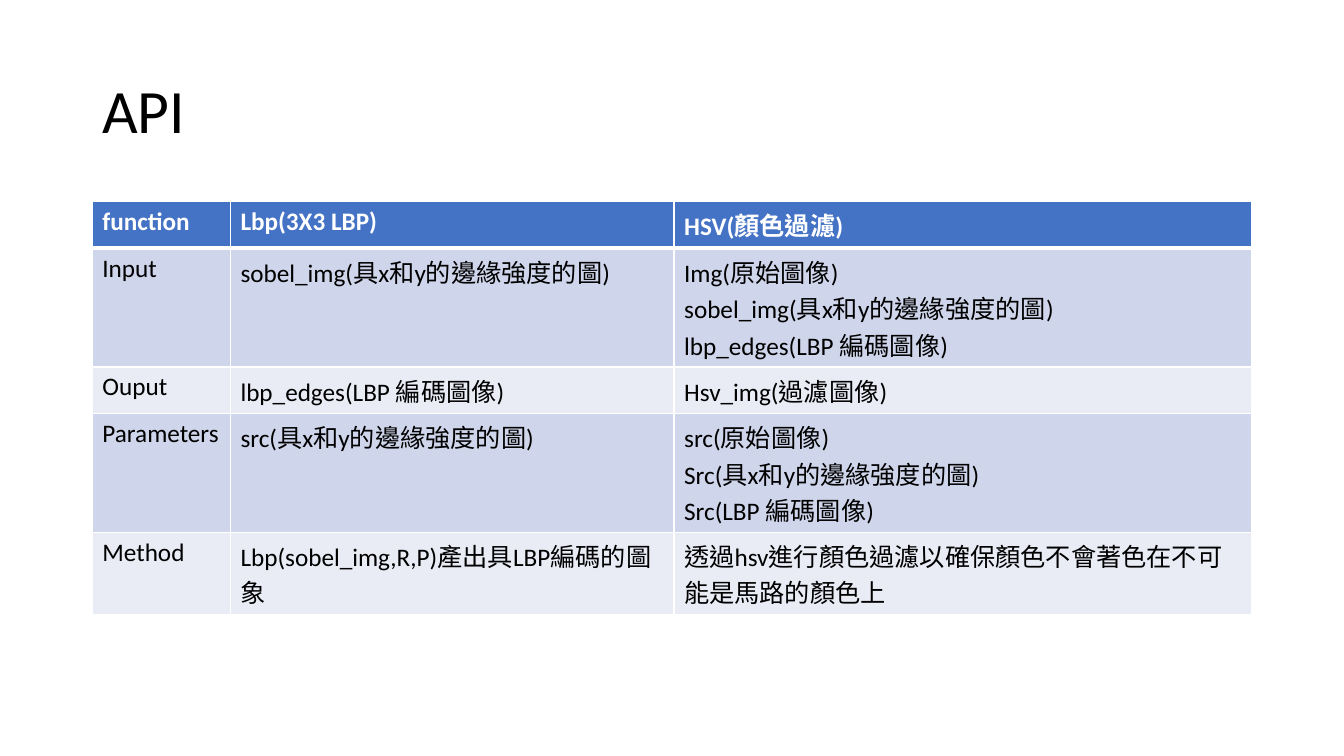
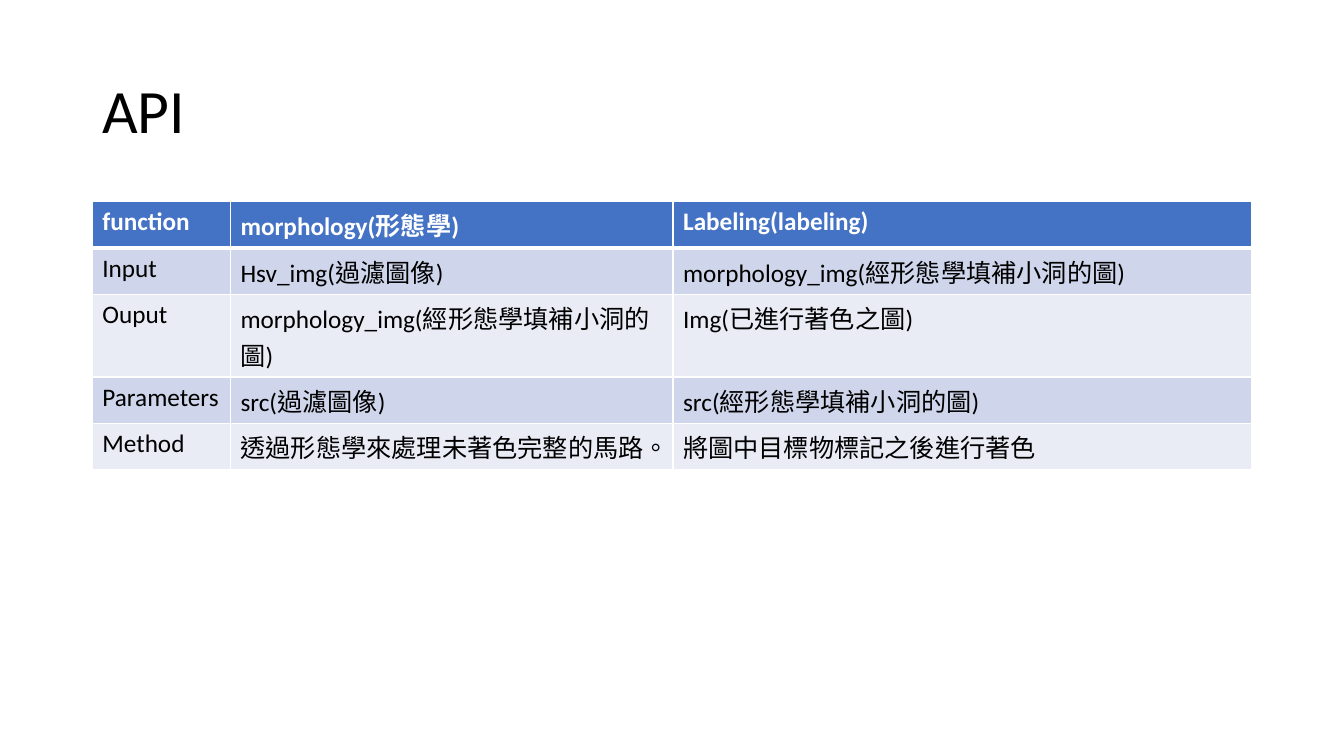
import pptx
import pptx.dml.color
import pptx.enum.lang
import pptx.enum.text
import pptx.oxml.ns
import pptx.util
import lxml.etree

COLORS = {
    "text": "000000",
    "white": "FFFFFF",
    "header": "4472C4",
    "band_dark": "CFD5EA",
    "band_light": "E9EBF5",
}
FONT = "Calibri"
TITLE_SIZE, CELL_SIZE = 44, 18
THIN, THICK = 1, 3

prs = pptx.Presentation()
prs.slide_width = pptx.util.Inches(13.33)
prs.slide_height = pptx.util.Inches(7.5)
W, H = prs.slide_width, prs.slide_height

LEFT, WIDTH = int(W * 0.0687), int(W * 0.8627)
TITLE_TOP, TITLE_HEIGHT = int(H * 0.0533), int(H * 0.1933)
TABLE_TOP = int(H * 0.2667)
CELL_PADDING, LINE_HEIGHT = pptx.util.Inches(0.1), pptx.util.Inches(0.36)
LABEL_WIDTH = pptx.util.Inches(1.37)

LABELS = ["function", "Input", "Ouput", "Parameters", "Method"]

# Each slide: width of the middle column, text lines per row, then its two
# columns of cells; a line break inside a cell starts a new paragraph.
SLIDES = [
    (4.4, [1, 3, 1, 3, 2], [
        "Lbp(3X3 LBP)",
        "sobel_img(具x和y的邊緣強度的圖)",
        "lbp_edges(LBP 編碼圖像)",
        "src(具x和y的邊緣強度的圖)",
        "Lbp(sobel_img,R,P)產出具LBP編碼的圖象",
    ], [
        "HSV(顏色過濾)",
        "Img(原始圖像)\nsobel_img(具x和y的邊緣強度的圖)\nlbp_edges(LBP 編碼圖像)",
        "Hsv_img(過濾圖像)",
        "src(原始圖像)\nSrc(具x和y的邊緣強度的圖)\nSrc(LBP 編碼圖像)",
        "透過hsv進行顏色過濾以確保顏色不會著色在不可能是馬路的顏色上",
    ]),
    (4.39, [1, 1, 2, 1, 1], [
        "morphology(形態學)",
        "Hsv_img(過濾圖像)",
        "morphology_img(經形態學填補小洞的圖)",
        "src(過濾圖像)",
        "透過形態學來處理未著色完整的馬路。",
    ], [
        "Labeling(labeling)",
        "morphology_img(經形態學填補小洞的圖)",
        "Img(已進行著色之圖)",
        "src(經形態學填補小洞的圖)",
        "將圖中目標物標記之後進行著色",
    ]),
]


def write(tf, text, size, color, bold=False):
    """Fill a text frame with one paragraph per line of text."""
    for i, line in enumerate(text.split("\n")):
        p = tf.add_paragraph() if i else tf.paragraphs[0]
        r = p.add_run()
        r.text = line
        r.font.name = FONT
        r.font.size = pptx.util.Pt(size)
        r.font.bold = bold
        r.font.color.rgb = pptx.dml.color.RGBColor.from_string(COLORS[color])
        r.font.language_id = pptx.enum.lang.MSO_LANGUAGE_ID.TRADITIONAL_CHINESE
        r._r.get_or_add_rPr().set("kern", "1200")


def style_cell(cell, fill, top, bottom):
    """Give a cell white borders (widths in points) and a solid fill."""
    qn = pptx.oxml.ns.qn
    tcPr = cell._tc.get_or_add_tcPr()
    for side, width in (("L", THIN), ("R", THIN), ("T", top), ("B", bottom)):
        ln = lxml.etree.SubElement(tcPr, qn("a:ln" + side), w=str(pptx.util.Pt(width)))
        solid = lxml.etree.SubElement(ln, qn("a:solidFill"))
        lxml.etree.SubElement(solid, qn("a:srgbClr"), val=COLORS["white"])
    cell.fill.solid()
    cell.fill.fore_color.rgb = pptx.dml.color.RGBColor.from_string(COLORS[fill])


for middle_width, line_counts, middle, right in SLIDES:
    slide = prs.slides.add_slide(prs.slide_layouts[6])

    title = slide.shapes.add_textbox(LEFT, TITLE_TOP, WIDTH, TITLE_HEIGHT)
    tf = title.text_frame
    tf.word_wrap = True
    tf.vertical_anchor = pptx.enum.text.MSO_ANCHOR.MIDDLE
    write(tf, "API", TITLE_SIZE, "text")
    tf.paragraphs[0].line_spacing = 0.9

    rows = list(zip(LABELS, middle, right))
    heights = [CELL_PADDING + LINE_HEIGHT * count for count in line_counts]
    table = slide.shapes.add_table(
        len(rows), 3, LEFT, TABLE_TOP, WIDTH, sum(heights)).table
    middle_width = pptx.util.Inches(middle_width)
    widths = (LABEL_WIDTH, middle_width, WIDTH - LABEL_WIDTH - middle_width)
    for column, width in zip(table.columns, widths):
        column.width = width

    for i, row in enumerate(rows):
        table.rows[i].height = heights[i]
        header = i == 0
        fill = "header" if header else "band_dark" if i % 2 else "band_light"
        for j, text in enumerate(row):
            cell = table.cell(i, j)
            style_cell(cell, fill, THICK if i == 1 else THIN, THICK if header else THIN)
            write(cell.text_frame, text, CELL_SIZE, "white" if header else "text", header)

prs.save("out.pptx")
